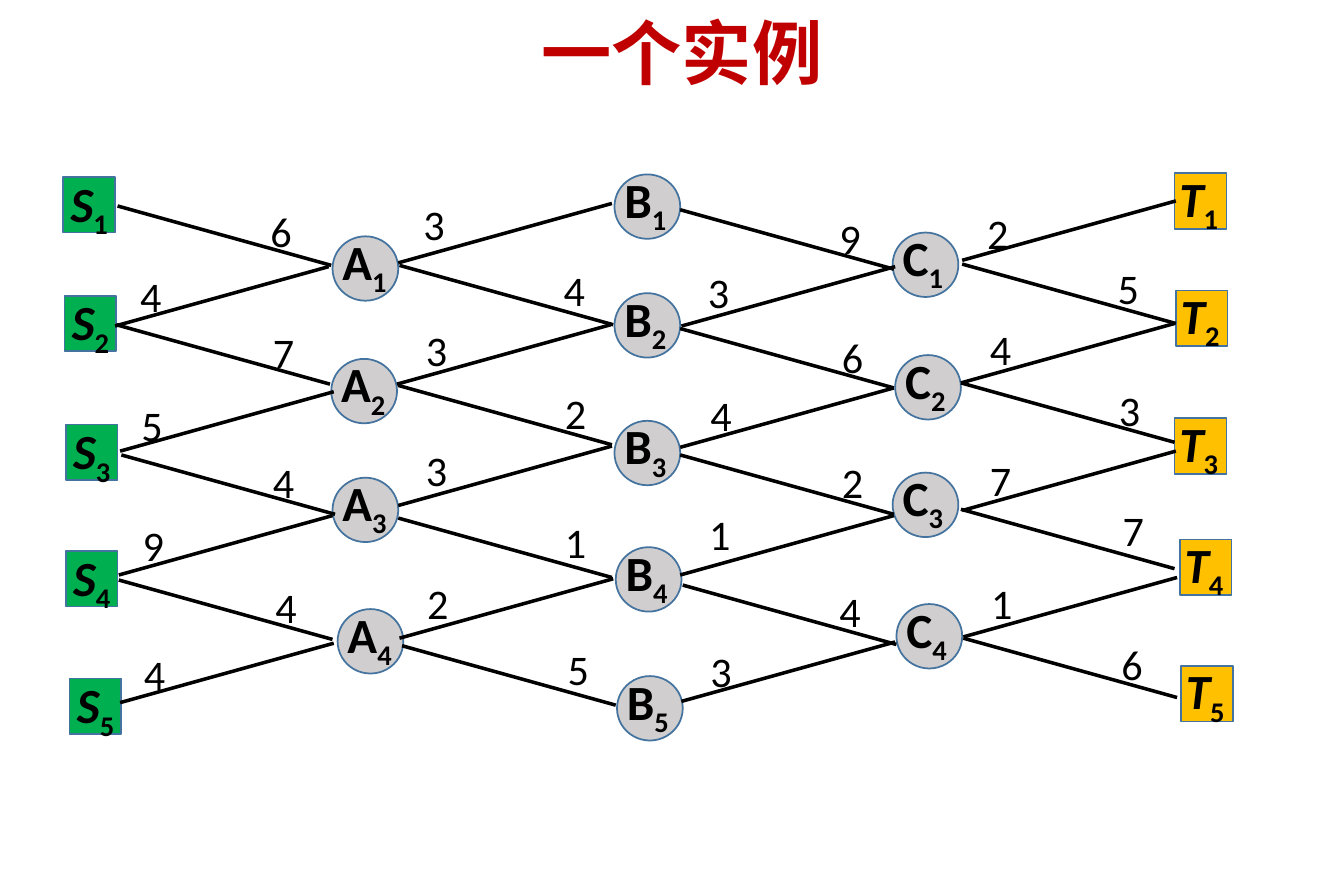
import dataclasses

import lxml.etree
import pptx
import pptx.dml.color
import pptx.enum.shapes
import pptx.enum.text
import pptx.oxml.ns
import pptx.util

Inches = pptx.util.Inches
Pt = pptx.util.Pt
MSO_SHAPE = pptx.enum.shapes.MSO_SHAPE


@dataclasses.dataclass(frozen=True)
class Theme:
    title_font: str = "Noto Sans CJK SC"
    font: str = "Calibri"
    title_size: float = 40
    node_size: float = 28
    weight_size: float = 24
    title_color: str = "C00000"
    ink: str = "000000"
    outline: str = "43739E"
    source_fill: str = "00B050"
    stage_fill: str = "D0CECE"
    target_fill: str = "FFC000"


THEME = Theme()


@dataclasses.dataclass(frozen=True)
class NodeStyle:
    shape: int
    fill: str
    width: float
    height: float
    text_dx: float
    text_dy: float
    text_width: float
    italic: bool


SOURCE = NodeStyle(MSO_SHAPE.RECTANGLE, THEME.source_fill, 0.41, 0.44, -0.04, -0.08, 0.69, True)
STAGE = NodeStyle(MSO_SHAPE.OVAL, THEME.stage_fill, 0.52, 0.51, -0.02, -0.09, 0.68, False)
TARGET = NodeStyle(MSO_SHAPE.RECTANGLE, THEME.target_fill, 0.41, 0.44, -0.06, -0.09, 0.69, True)

# Letter, style and top-left corner of each node, from top to bottom
NODES = [
    ("S", SOURCE, [(0.5, 1.4), (0.51, 2.34), (0.52, 3.36), (0.52, 4.36), (0.55, 5.37)]),
    ("A", STAGE, [(2.63, 1.87), (2.62, 2.84), (2.63, 3.78), (2.67, 4.82)]),
    ("B", STAGE, [(4.86, 1.38), (4.86, 2.32), (4.86, 3.33), (4.87, 4.33), (4.88, 5.35)]),
    ("C", STAGE, [(7.06, 1.84), (7.08, 2.81), (7.06, 3.74), (7.09, 4.78)]),
    ("T", TARGET, [(9.29, 1.37), (9.3, 2.3), (9.29, 3.31), (9.33, 4.27), (9.34, 5.27)]),
]

# Every edge spans the same run and rise; directions alternate down a stage
EDGE_DX, EDGE_DY = 1.69, 0.47
DOWN, UP = 1, -1

# First direction, then per edge: start x, start y, weight, label x, label y
STAGES = [
    (DOWN, [
        (0.93, 1.63, 6, 2.04, 1.58), (0.91, 2.58, 4, 1.01, 2.09),
        (0.92, 2.57, 7, 2.06, 2.53), (0.95, 3.57, 5, 1.02, 3.11),
        (0.96, 3.6, 4, 2.06, 3.56), (0.94, 4.55, 9, 1.03, 4.06),
        (0.94, 4.59, 4, 2.08, 4.55), (0.95, 5.56, 4, 1.04, 5.08)]),
    (UP, [
        (3.15, 2.08, 3, 3.25, 1.52), (3.16, 2.1, 4, 4.36, 2.04),
        (3.14, 3.04, 3, 3.27, 2.52), (3.15, 3.05, 2, 4.37, 3.02),
        (3.15, 4, 3, 3.27, 3.47), (3.15, 4.1, 1, 4.37, 4.04),
        (3.16, 5.05, 2, 3.28, 4.52), (3.18, 5.11, 5, 4.39, 5.04)]),
    (DOWN, [
        (5.38, 1.66, 9, 6.54, 1.63), (5.39, 2.58, 3, 5.5, 2.06),
        (5.38, 2.6, 6, 6.56, 2.57), (5.38, 3.54, 4, 5.52, 3.03),
        (5.38, 3.6, 2, 6.56, 3.56), (5.38, 4.55, 1, 5.51, 3.97),
        (5.4, 4.63, 4, 6.54, 4.58), (5.39, 5.55, 3, 5.52, 5.06)]),
    (UP, [
        (7.61, 2.06, 2, 7.71, 1.59), (7.61, 2.09, 5, 8.74, 2.03),
        (7.6, 3.03, 4, 7.73, 2.51), (7.6, 3.03, 3, 8.75, 2.99),
        (7.61, 4.04, 7, 7.73, 3.55), (7.6, 4.03, 7, 8.78, 3.94),
        (7.62, 5.04, 1, 7.74, 4.52), (7.62, 5.05, 6, 8.77, 5)]),
]


def rgb(color):
    return pptx.dml.color.RGBColor.from_string(color)


class NetworkSlide:
    def __init__(self, slide, theme):
        self.slide = slide
        self.theme = theme

    def text_box(self, shapes, x, y, width, height):
        """Add an empty wrapping box and return its text frame."""
        box = shapes.add_textbox(Inches(x), Inches(y), Inches(width), Inches(height))
        tf = box.text_frame
        tf.word_wrap = True
        tf.auto_size = pptx.enum.text.MSO_AUTO_SIZE.SHAPE_TO_FIT_TEXT
        return tf

    def run(self, p, text, size, color=None, bold=False, italic=False):
        r = p.add_run()
        r.text = text
        r.font.name = self.theme.font
        r.font.size = Pt(size)
        r.font.bold = bold
        r.font.italic = italic
        r.font.color.rgb = rgb(color or self.theme.ink)
        return r

    def title(self, text):
        tf = self.text_box(self.slide.shapes, 0.51, 0.15, 9.77, 0.59)
        tf.margin_left = tf.margin_right = tf.margin_top = tf.margin_bottom = 0
        p = tf.paragraphs[0]
        p.alignment = pptx.enum.text.PP_ALIGN.CENTER
        p.line_spacing = Pt(42.5)
        r = self.run(p, text, self.theme.title_size, self.theme.title_color, bold=True)
        r.font.name = self.theme.title_font
        props = r.font._element
        props.set("spc", "10")
        ea = lxml.etree.SubElement(props, pptx.oxml.ns.qn("a:ea"))
        ea.set("typeface", self.theme.title_font)

    def node(self, letter, number, x, y, style):
        group = self.slide.shapes.add_group_shape()
        sp = group.shapes.add_shape(
            style.shape, Inches(x), Inches(y), Inches(style.width), Inches(style.height))
        sp.shadow.inherit = False
        sp.fill.solid()
        sp.fill.fore_color.rgb = rgb(style.fill)
        sp.line.color.rgb = rgb(self.theme.outline)
        sp.line.width = Pt(1)
        tf = self.text_box(
            group.shapes, x + style.text_dx, y + style.text_dy, style.text_width, 0.57)
        p = tf.paragraphs[0]
        self.run(p, letter, self.theme.node_size, bold=True, italic=style.italic)
        index = self.run(p, str(number), self.theme.node_size, bold=True)
        index.font._element.set("baseline", "-25000")

    def edge(self, x, y, direction):
        line = self.slide.shapes.add_connector(
            pptx.enum.shapes.MSO_CONNECTOR.STRAIGHT, Inches(x), Inches(y),
            Inches(x + EDGE_DX), Inches(y + direction * EDGE_DY))
        line.line.color.rgb = rgb(self.theme.ink)
        line.line.width = Pt(2)
        lxml.etree.SubElement(line._element.spPr, pptx.oxml.ns.qn("a:effectLst"))

    def weight(self, value, x, y):
        tf = self.text_box(self.slide.shapes, x, y, 0.48, 0.5)
        self.run(tf.paragraphs[0], str(value), self.theme.weight_size)


def main():
    prs = pptx.Presentation()
    prs.slide_width, prs.slide_height = Inches(10.63), Inches(7.09)
    s = NetworkSlide(prs.slides.add_slide(prs.slide_layouts[6]), THEME)
    s.title("一个实例")
    for letter, style, corners in NODES:
        for number, (x, y) in enumerate(corners, 1):
            s.node(letter, number, x, y, style)
    for direction, edges in STAGES:
        for x, y, value, label_x, label_y in edges:
            s.edge(x, y, direction)
            s.weight(value, label_x, label_y)
            direction = -direction
    prs.save("out.pptx")


if __name__ == "__main__":
    main()
